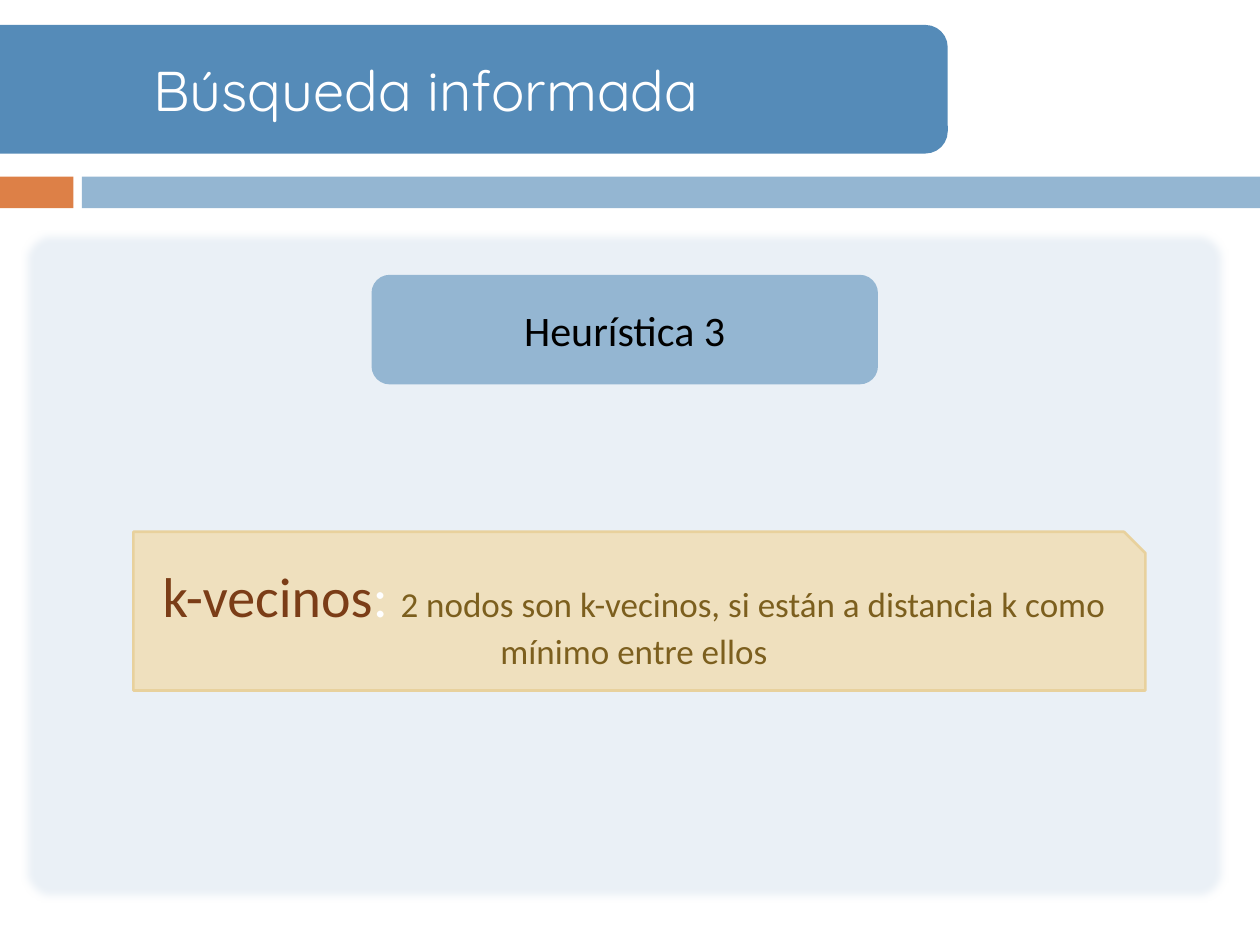
from pptx import Presentation
from pptx.dml.color import RGBColor
from pptx.enum.shapes import MSO_SHAPE
from pptx.enum.text import MSO_ANCHOR, PP_ALIGN
from pptx.oxml.ns import qn
from pptx.util import Cm, Pt
from lxml.etree import SubElement

COLOURS = {
    "orange": "DD8047",
    "light_blue": "94B6D2",
    "blue": "558BB8",
    "panel": "EAF0F6",
    "sand": "EFE0BE",
    "sand_edge": "E8D19D",
    "white": "FFFFFF",
    "black": "000000",
    "brown": "7B3D17",
    "olive": "7C5F1E",
}


class SlideBuilder:
    def __init__(self, slide, body_font="Calibri", title_font="Quicksand"):
        self.slide = slide
        self.body_font = body_font
        self.title_font = title_font

    def colour(self, name):
        return RGBColor.from_string(COLOURS[name])

    def box(self, kind, left, top, width, height, fill, line=None, corner=None):
        shape = self.slide.shapes.add_shape(
            kind, Cm(left), Cm(top), Cm(width), Cm(height))
        shape.shadow.inherit = False
        shape.fill.solid()
        shape.fill.fore_color.rgb = self.colour(fill)
        if line:
            shape.line.color.rgb = self.colour(line)
            shape.line.width = Pt(1.5)
        else:
            shape.line.fill.background()
        if corner is not None:
            shape.adjustments[0] = corner
        return shape

    def soften(self, shape, radius):
        effects = shape._element.spPr.find(qn("a:effectLst"))
        SubElement(effects, qn("a:softEdge"), rad=str(Pt(radius)))

    def paragraph(self, shape, font):
        frame = shape.text_frame
        frame.word_wrap = True
        frame.vertical_anchor = MSO_ANCHOR.MIDDLE
        paragraph = frame.paragraphs[0]
        paragraph.alignment = PP_ALIGN.CENTER
        paragraph.font.name = font
        return paragraph

    def label(self, shape, text, size, colour, font=None):
        paragraph = self.paragraph(shape, font or self.body_font)
        paragraph.text = text
        paragraph.font.size = Pt(size)
        paragraph.font.color.rgb = self.colour(colour)

    def definition(self, shape, parts):
        paragraph = self.paragraph(shape, self.body_font)
        for text, size, colour in parts:
            run = paragraph.add_run()
            run.text = text
            run.font.size = Pt(size)
            run.font.color.rgb = self.colour(colour)


def main():
    presentation = Presentation()
    presentation.slide_width = Cm(25.4)
    presentation.slide_height = Cm(19.05)
    slide = presentation.slides.add_slide(presentation.slide_layouts[6])
    builder = SlideBuilder(slide)
    rectangle, rounded = MSO_SHAPE.RECTANGLE, MSO_SHAPE.ROUNDED_RECTANGLE

    builder.box(rectangle, 0, 3.56, 1.48, 0.64, "orange")
    builder.box(rectangle, 1.65, 3.56, 23.75, 0.64, "light_blue")

    title = builder.box(rounded, -1.9, 0.53, 20.98, 2.54, "blue", line="blue")
    builder.label(title, "Búsqueda informada", 32, "white", builder.title_font)

    panel = builder.box(rounded, 0.43, 4.65, 24.33, 13.54, "panel", corner=0.04)
    builder.soften(panel, 5)

    heading = builder.box(rounded, 7.49, 5.54, 10.21, 2.21, "light_blue")
    builder.label(heading, "Heurística 3", 24, "black")

    note = builder.box(MSO_SHAPE.SNIP_1_RECTANGLE, 2.69, 10.72, 20.4, 3.2,
                       "sand", line="sand_edge", corner=0.135)
    builder.definition(note, [
        ("k-vecinos", 32, "brown"),
        (": ", 32, "white"),
        ("2 nodos son k-vecinos, si están a distancia k como mínimo entre ellos",
         20, "olive"),
    ])

    presentation.save("out.pptx")


if __name__ == "__main__":
    main()
